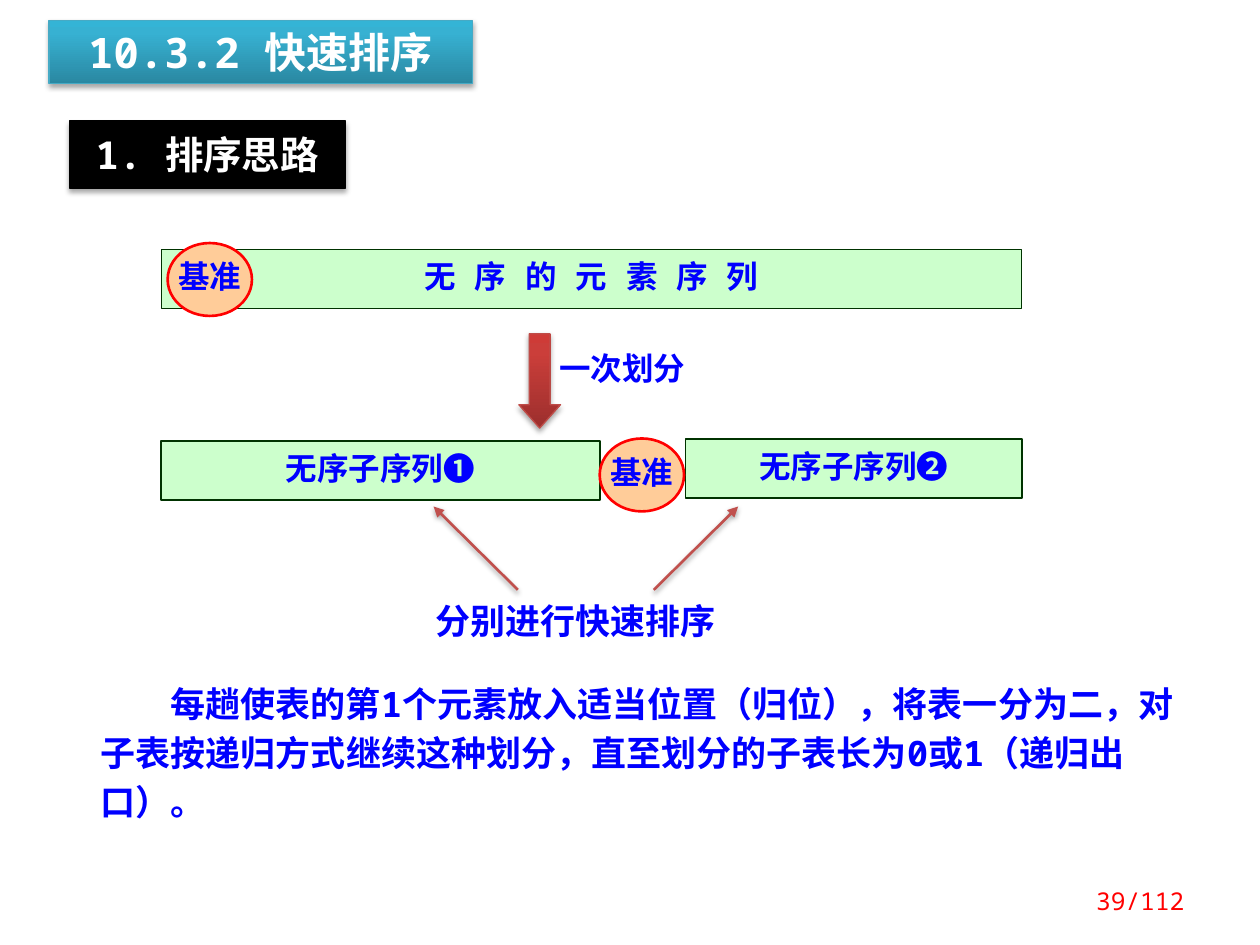
import copy

import pptx
import pptx.dml.color
import pptx.enum.shapes
import pptx.enum.text
import pptx.oxml
import pptx.oxml.ns
import pptx.util

Cm = pptx.util.Cm
Pt = pptx.util.Pt
RGBColor = pptx.dml.color.RGBColor
SHAPE = pptx.enum.shapes.MSO_SHAPE
ALIGN = pptx.enum.text.PP_ALIGN
ANCHOR = pptx.enum.text.MSO_ANCHOR
qn = pptx.oxml.ns.qn

FONT = "Noto Sans Mono"
WHITE = RGBColor(0xFF, 0xFF, 0xFF)
BLACK = RGBColor(0x00, 0x00, 0x00)
BLUE = RGBColor(0x00, 0x00, 0xFF)
RED = RGBColor(0xFF, 0x00, 0x00)
MINT = RGBColor(0xCC, 0xFF, 0xCC)
DARK_GREEN = RGBColor(0x00, 0x33, 0x00)
PEACH = RGBColor(0xFF, 0xCC, 0x99)
BRICK = RGBColor(0xC0, 0x50, 0x4D)
ARROW_EDGE = RGBColor(0xBF, 0x4C, 0x48)
TEAL_EDGE = RGBColor(0x46, 0xAA, 0xC5)
RED_SHADES = (RGBColor(0x9C, 0x2F, 0x2D), RGBColor(0xCB, 0x3E, 0x3A), RGBColor(0xCE, 0x3B, 0x37))
TEAL_SHADES = (RGBColor(0x2A, 0x88, 0xA2), RGBColor(0x37, 0xB1, 0xD2), RGBColor(0x34, 0xB4, 0xD6))

BAR_HEIGHT = 1.19
PIVOT_WIDTH, PIVOT_HEIGHT = 1.7, 1.47


def place(shape, left, top, width, height):
    shape.left, shape.top, shape.width, shape.height = map(Cm, (left, top, width, height))


def write(shape, text, size, color=BLUE, bold=True, align=ALIGN.CENTER,
          anchor=ANCHOR.TOP, wrap=True, spacing=0.8, margins=(0.13, 0.13)):
    """Put one formatted paragraph into the shape; margins are top and bottom."""
    frame = shape.text_frame
    frame.auto_size = pptx.enum.text.MSO_AUTO_SIZE.NONE
    frame.word_wrap = wrap
    frame.vertical_anchor = anchor
    frame.margin_left = frame.margin_right = Cm(0.25)
    frame.margin_top, frame.margin_bottom = map(Cm, margins)
    para = frame.paragraphs[0]
    para.alignment = align
    para.line_spacing = spacing
    span = para.add_run()
    span.text = text
    span.font.name = FONT
    span.font.size = Pt(size)
    span.font.bold = bold
    span.font.color.rgb = color
    east_asian = pptx.oxml.parse_xml(
        f'<a:ea {pptx.oxml.ns.nsdecls("a")} typeface="{FONT}"/>')
    span.font._element.append(east_asian)
    return para


def paint(shape, fill, edge, width):
    shape.shadow.inherit = False
    shape.fill.solid()
    shape.fill.fore_color.rgb = fill
    shape.line.color.rgb = edge
    shape.line.width = Pt(width)


def paint_gradient(shape, shades, edge):
    """Fill from bottom to top through three shades."""
    paint(shape, shades[0], edge, 0.75)
    shape.fill.gradient()
    shape.fill.gradient_angle = 90
    stop_list = shape._element.spPr.find(".//" + qn("a:gsLst"))
    stop_list.append(copy.deepcopy(stop_list[-1]))
    for stop, position, shade in zip(shape.fill.gradient_stops, (0, 0.8, 1), shades):
        stop.position = position
        stop.color.rgb = shade


def add_shadow(shape, opacity=35, distance=1.8):
    properties = shape._element.spPr
    effects = properties.find(qn("a:effectLst"))
    if effects is None:
        effects = pptx.oxml.parse_xml(f'<a:effectLst {pptx.oxml.ns.nsdecls("a")}/>')
        properties.append(effects)
    effects.append(pptx.oxml.parse_xml(
        f'<a:outerShdw {pptx.oxml.ns.nsdecls("a")} blurRad="{Pt(3.1)}" dist="{Pt(distance)}" '
        f'dir="5400000" rotWithShape="0"><a:srgbClr val="000000">'
        f'<a:alpha val="{opacity * 1000}"/></a:srgbClr></a:outerShdw>'))


def add_shape(page, kind, left, top, width, height):
    return page.shapes.add_shape(kind, *map(Cm, (left, top, width, height)))


def add_label(page, text, size, left, top, width, height, **style):
    box = page.shapes.add_textbox(*map(Cm, (left, top, width, height)))
    return write(box, text, size, **{"align": ALIGN.LEFT, **style})


def add_bar(page, text, left, top, width, edge_width=1):
    bar = add_shape(page, SHAPE.RECTANGLE, left, top, width, BAR_HEIGHT)
    paint(bar, MINT, DARK_GREEN, edge_width)
    write(bar, text, 18, margins=(0.3, 0.13))


def add_pivot(page, left, top):
    pivot = add_shape(page, SHAPE.OVAL, left, top, PIVOT_WIDTH, PIVOT_HEIGHT)
    paint(pivot, PEACH, RED, 1.5)
    write(pivot, "基准", 18, anchor=ANCHOR.MIDDLE, wrap=False)


def add_headings(page, left, top):
    title = page.shapes.title
    place(title, left, top, 8.53, 1.27)
    paint_gradient(title, TEAL_SHADES, TEAL_EDGE)
    add_shadow(title)
    write(title, "10.3.2 快速排序", 24, WHITE, spacing=1.0)

    section = add_shape(page, SHAPE.RECTANGLE, left + 0.41, top + 2.03, 5.56, 1.35)
    paint(section, BLACK, BLACK, 0.75)
    add_shadow(section)
    write(section, "1. 排序思路", 22, WHITE, spacing=1.0, margins=(0.2, 0.2))


def add_unsorted_row(page, left, top, width):
    add_bar(page, "无 序 的 元 素 序 列", left, top, width, 0.75)
    add_pivot(page, left + 0.13, top - 0.13)


def add_partition_step(page, left, top):
    arrow = add_shape(page, SHAPE.DOWN_ARROW, left, top, 0.84, 1.9)
    arrow.adjustments[1] = 0.56
    paint_gradient(arrow, RED_SHADES, ARROW_EDGE)
    add_shadow(arrow)
    add_label(page, "一次划分", 18, left + 0.56, top + 0.33, 3.1, 0.86, wrap=False)


def add_split_row(page, left, top, width):
    first_width, second_width = 8.84, 6.78
    add_bar(page, "无序子序列❶", left, top, first_width)
    add_bar(page, "无序子序列❷", left + width - second_width, top - 0.04, second_width)
    add_pivot(page, left + first_width, top - 0.05)


def add_recursion_step(page, left, top):
    """Two arrows rising outwards from the label below them."""
    rise = 1.68
    for start, end in ((1.91, 0.21), (4.65, 6.35)):
        line = page.shapes.add_connector(
            pptx.enum.shapes.MSO_CONNECTOR.STRAIGHT,
            Cm(left + start), Cm(top + rise), Cm(left + end), Cm(top))
        line.line.color.rgb = BRICK
        line.line.width = Pt(1.5)
        line.line._get_or_add_ln().append(pptx.oxml.parse_xml(
            f'<a:tailEnd {pptx.oxml.ns.nsdecls("a")} type="triangle"/>'))
        add_shadow(line, 38, 1.6)
    add_label(page, "分别进行快速排序", 20, left, top + rise + 0.23, 6.25, 0.94, wrap=False)


def add_summary(page, left, top):
    para = add_label(
        page, "每趟使表的第1个元素放入适当位置（归位），将表一分为二，对子表按递归方式继续"
        "这种划分，直至划分的子表长为0或1（递归出口）。",
        20, left, top, 22.43, 3.18, spacing=Pt(28))
    para._p.get_or_add_pPr().set("indent", str(Pt(40)))


def build_partition_slide(deck):
    page = deck.slides.add_slide(deck.slide_layouts[5])
    left, width = 3.25, 17.35
    add_headings(page, 0.99, 0.41)
    add_unsorted_row(page, left, 5.03, width)
    add_partition_step(page, 10.46, 6.73)
    add_split_row(page, left, 8.89, width)
    add_recursion_step(page, 8.53, 10.21)
    add_summary(page, 1.78, 13.49)
    add_label(page, "39/112", 14, 21.03, 17.65, 3.1, 1.02, color=RED, bold=False,
              align=ALIGN.RIGHT, anchor=ANCHOR.MIDDLE, spacing=1.0)


def main():
    deck = pptx.Presentation()
    deck.slide_width, deck.slide_height = Cm(25.4), Cm(19.05)
    build_partition_slide(deck)
    deck.save("out.pptx")


if __name__ == "__main__":
    main()
